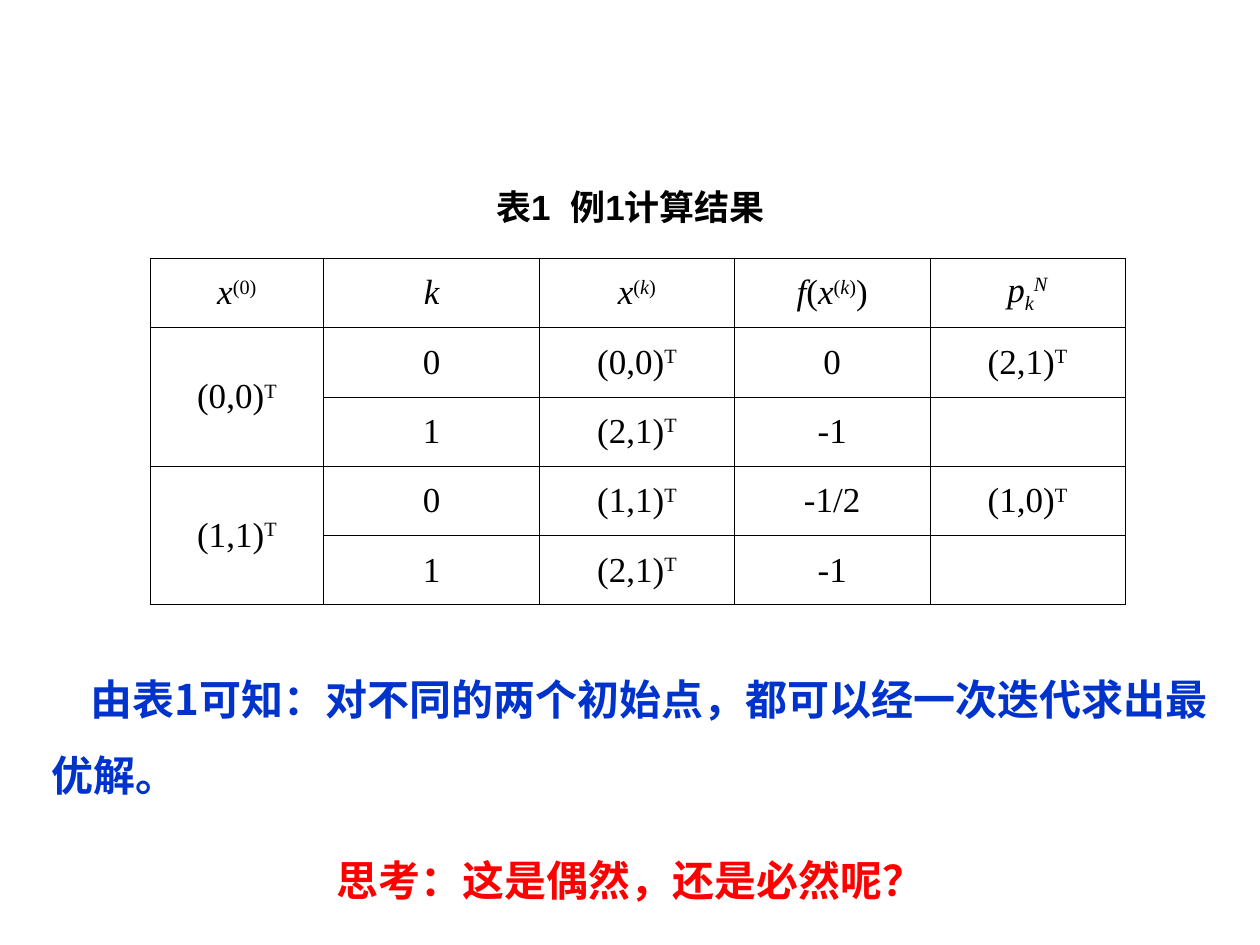
from dataclasses import dataclass

import pptx
import pptx.dml.color
import pptx.enum.text
import pptx.oxml
import pptx.oxml.ns
import pptx.util
from lxml import etree

Inches = pptx.util.Inches
Pt = pptx.util.Pt
Align = pptx.enum.text.PP_ALIGN
Anchor = pptx.enum.text.MSO_ANCHOR
qn = pptx.oxml.ns.qn


@dataclass(frozen=True)
class Theme:
    """Colours, fonts and type sizes of the slide."""
    black: str = "000000"
    blue: str = "0033CC"
    red: str = "FF0000"
    math: str = "Times New Roman"
    caption: str = "Arial"
    chinese: str = "Noto Sans CJK SC"
    table_size: int = 20
    body_size: int = 24
    border: float = 0.45


@dataclass(frozen=True)
class Piece:
    """A stretch of a formula; baseline is a percentage shift."""
    text: str
    italic: bool = False
    baseline: int = 0


@dataclass(frozen=True)
class Remark:
    """A line of text below the table."""
    text: str
    left: float
    top: float
    width: float
    height: float
    color: str
    wrap: bool
    indent: float = 0


THEME = Theme()
SUPER, SUB = 30, -25
SUPER_K = (Piece("(", baseline=SUPER), Piece("k", True, SUPER), Piece(")", baseline=SUPER))
X = Piece("x", True)
HEADER = (
    (X, Piece("(0)", baseline=SUPER)),
    (Piece("k", True),),
    (X, *SUPER_K),
    (Piece("f", True), Piece("("), X, *SUPER_K, Piece(")")),
    (Piece("p", True), Piece("k", True, SUB), Piece("N", True, SUPER)),
)
RESULTS = (
    ("(0,0)", "0", "(0,0)", "0", "(2,1)"),
    ("", "1", "(2,1)", "-1", ""),
    ("(1,1)", "0", "(1,1)", "-1/2", "(1,0)"),
    ("", "1", "(2,1)", "-1", ""),
)
COLUMN_WIDTHS = (1.38, 1.71, 1.55, 1.55, 1.55)
ROW_HEIGHT = 0.55
REMARKS = (
    Remark("由表1可知：对不同的两个初始点，都可以经一次迭代求出最优解。",
           0.31, 5.1, 9.37, 1.3, THEME.blue, True, 0.31),
    Remark("思考：这是偶然，还是必然呢？", 2.57, 6.53, 4.86, 0.7, THEME.red, False),
)


def style_font(font: pptx.text.text.Font, name: str, size: int, color: str, bold: bool = False) -> None:
    """Set typeface, size, colour and weight."""
    font.name, font.size, font.bold = name, Pt(size), bold
    font.color.rgb = pptx.dml.color.RGBColor.from_string(color)


def set_east_asian(paragraph: pptx.text.text._Paragraph) -> None:
    """Give the Chinese characters of a paragraph their typeface."""
    properties = paragraph.font._element
    etree.SubElement(properties, qn("a:ea")).set("typeface", THEME.chinese)


def vector(entry: str) -> tuple[Piece, ...]:
    """Turn a table value into pieces, with a transpose sign after a vector."""
    if entry.startswith("("):
        return Piece(entry), Piece("T", baseline=SUPER)
    return (Piece(entry),) if entry else ()


def draw_borders(cell: pptx.table._Cell) -> None:
    """Rule all four sides of a cell."""
    properties = cell._tc.get_or_add_tcPr()
    for position, side in enumerate(("a:lnL", "a:lnR", "a:lnT", "a:lnB")):
        line = etree.Element(qn(side), w=str(Pt(THEME.border)))
        fill = etree.SubElement(line, qn("a:solidFill"))
        etree.SubElement(fill, qn("a:srgbClr"), val=THEME.black)
        properties.insert(position, line)


def fill_cell(cell: pptx.table._Cell, pieces: tuple[Piece, ...]) -> None:
    """Write a centred formula into a ruled cell."""
    cell.fill.background()
    cell.vertical_anchor = Anchor.MIDDLE
    draw_borders(cell)
    paragraph = cell.text_frame.paragraphs[0]
    paragraph.alignment = Align.CENTER
    style_font(paragraph.font, THEME.math, THEME.table_size, THEME.black)
    for piece in pieces:
        run = paragraph.add_run()
        run.text = piece.text
        if piece.italic:
            run.font.italic = True
        if piece.baseline:
            run.font._element.set("baseline", str(piece.baseline * 1000))


def add_results(slide: pptx.slide.Slide) -> None:
    """Add the table of iterations, each start point spanning two rows."""
    rows = [HEADER, *([vector(entry) for entry in row] for row in RESULTS)]
    table = slide.shapes.add_table(
        len(rows), len(COLUMN_WIDTHS), Inches(1.19), Inches(2.05),
        Inches(sum(COLUMN_WIDTHS)), Inches(ROW_HEIGHT * len(rows))).table
    table.first_row = table.horz_banding = False
    for column, width in zip(table.columns, COLUMN_WIDTHS):
        column.width = Inches(width)
    for row_index, row in enumerate(rows):
        table.rows[row_index].height = Inches(ROW_HEIGHT)
        for column_index, pieces in enumerate(row):
            fill_cell(table.cell(row_index, column_index), pieces)
    for top in (1, 3):
        table.cell(top, 0).merge(table.cell(top + 1, 0))


def add_caption(slide: pptx.slide.Slide) -> None:
    """Place the table caption in the title placeholder."""
    title = slide.shapes.title
    title.left, title.top, title.width, title.height = map(Inches, (2.52, 1.42, 4.97, 0.44))
    title.text_frame.vertical_anchor = Anchor.TOP
    title.text_frame.text = "表1  例1计算结果"
    paragraph = title.text_frame.paragraphs[0]
    paragraph.alignment = Align.CENTER
    style_font(paragraph.font, THEME.caption, THEME.table_size, THEME.black, True)
    set_east_asian(paragraph)


def add_remark(slide: pptx.slide.Slide, remark: Remark) -> None:
    """Add one bold line of commentary."""
    box = slide.shapes.add_textbox(*map(Inches, (remark.left, remark.top, remark.width, remark.height)))
    box.text_frame.word_wrap = remark.wrap
    box.text_frame.text = remark.text
    paragraph = box.text_frame.paragraphs[0]
    paragraph.line_spacing = 1.5
    style_font(paragraph.font, THEME.chinese, THEME.body_size, remark.color, True)
    set_east_asian(paragraph)
    if remark.indent:
        paragraph._p.get_or_add_pPr().set("indent", str(Inches(remark.indent)))


def main() -> None:
    """Build and save the slide."""
    presentation = pptx.Presentation()
    presentation.slide_width, presentation.slide_height = Inches(10), Inches(7.5)
    slide = presentation.slides.add_slide(presentation.slide_layouts[5])
    add_caption(slide)
    add_results(slide)
    for remark in REMARKS:
        add_remark(slide, remark)
    presentation.save("out.pptx")


main()
